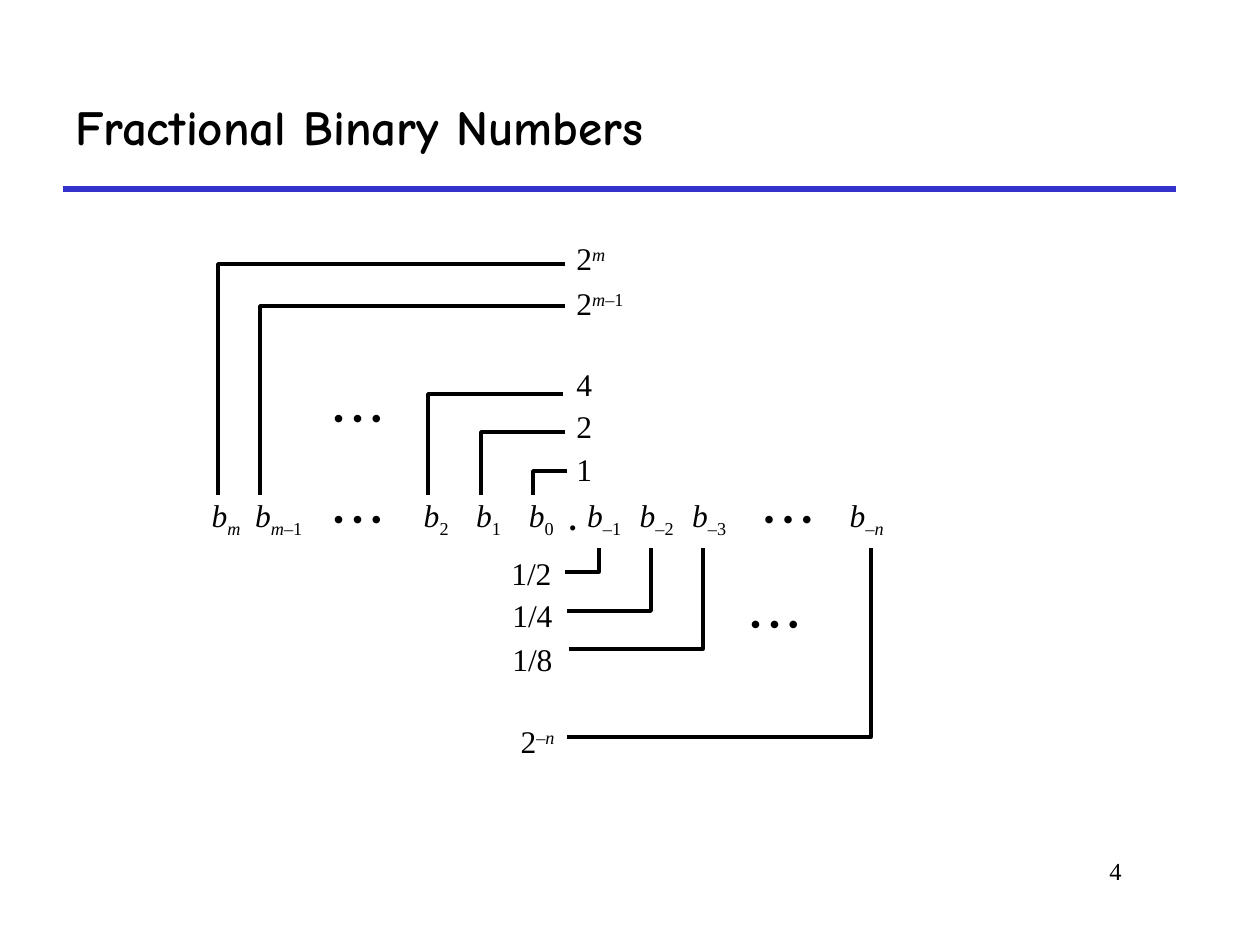
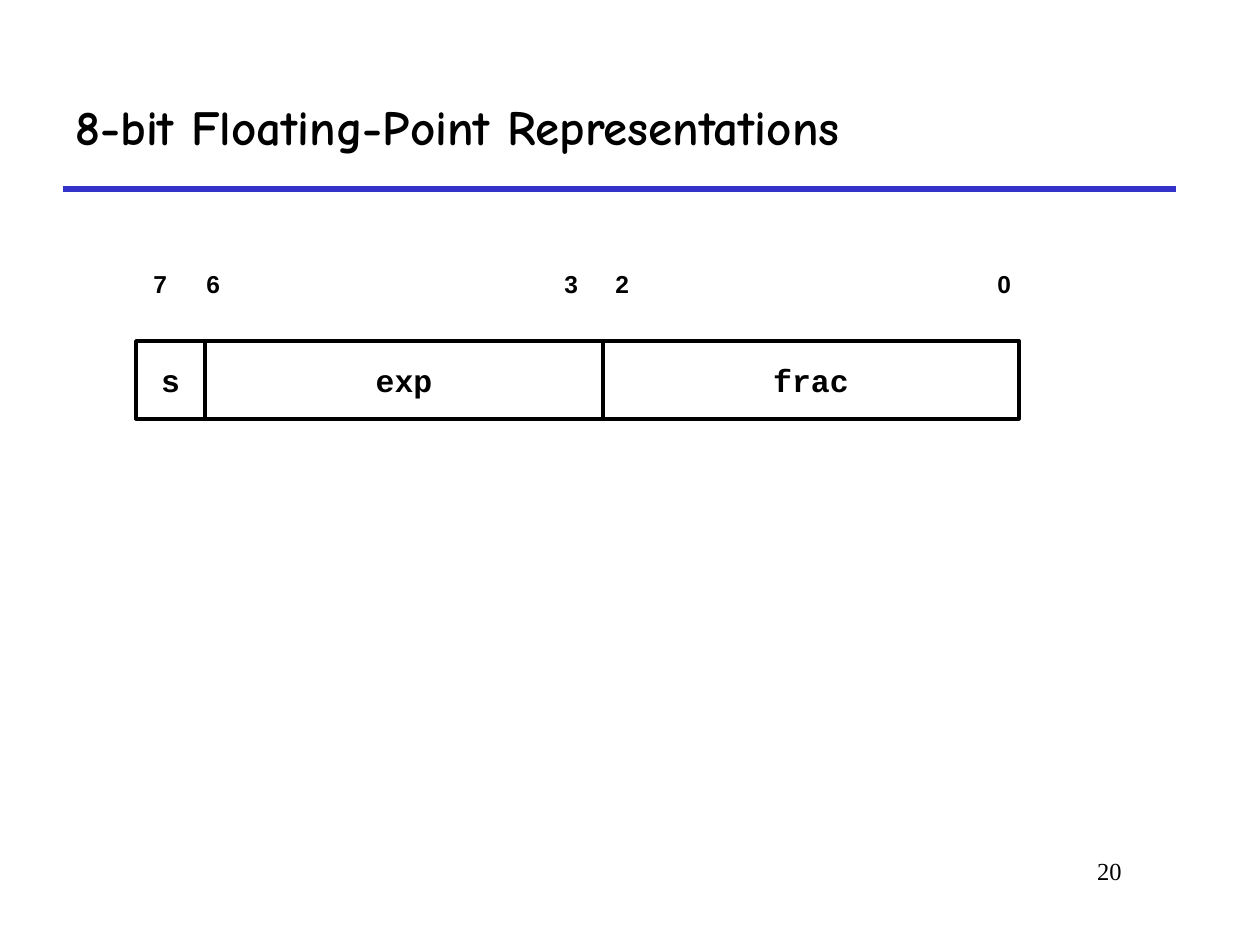
from lxml import etree
from pptx import Presentation
from pptx import util as u
from pptx.dml import color
from pptx.enum import shapes, text
from pptx.oxml import ns

# Shared look
BLACK, WHITE, BLUE = "000000", "FFFFFF", "3333CC"
SERIF, SANS, MONO, HAND = "Times New Roman", "Arial", "Courier New", "Comic Neue"
LEFT, MID, RIGHT = text.PP_ALIGN.LEFT, text.PP_ALIGN.CENTER, text.PP_ALIGN.RIGHT
BASE = {"_": "-25000", "^": "30000"}
DOTS = "• • •"


def px(n):
    """126 px to the inch."""
    return u.Emu(round(n * 914400 / 126))


def rgb(code):
    return color.RGBColor.from_string(code)


def style(item, **values):
    for name, value in values.items():
        setattr(item, name, value)


def ink(line, code, width):
    line.color.rgb = rgb(code)
    line.width = u.Pt(width)


# Text: a string, or runs of (text, marks): i italic, _ subscript, ^ superscript
def write(shape, runs, size=18, face=SERIF, bold=False, align=LEFT,
          anchor=text.MSO_ANCHOR.TOP, wrap=False):
    frame = shape.text_frame
    style(frame, word_wrap=wrap, vertical_anchor=anchor)
    para = frame.paragraphs[0]
    para.alignment = align
    for words, marks in [(runs, "")] if isinstance(runs, str) else runs:
        run = para.add_run()
        run.text = words
        style(run.font, size=u.Pt(size), name=face, bold=bold, italic="i" in marks)
        run.font.color.rgb = rgb(BLACK)
        for mark in BASE.keys() & set(marks):
            run._r.get_or_add_rPr().set("baseline", BASE[mark])


def label(slide, x, y, w, h, runs, **form):
    box = slide.shapes.add_textbox(px(x), px(y), px(w), px(h))
    write(box, runs, **form)


def cell(slide, x, y, w, h, runs, edge=0, turn=0, **form):
    box = slide.shapes.add_shape(shapes.MSO_SHAPE.RECTANGLE, px(x), px(y), px(w), px(h))
    box.shadow.inherit = False
    box.rotation = turn
    box.fill.solid()
    box.fill.fore_color.rgb = rgb(WHITE)
    if edge:
        ink(box.line, BLACK, edge)
    else:
        box.line.fill.background()
    write(box, runs, align=MID, anchor=text.MSO_ANCHOR.MIDDLE, **form)


def elbow(slide, end, x, y, foot):
    """Line from (end, y) along to x, then up or down to foot."""
    path = slide.shapes.build_freeform(px(end), px(y), 1)
    path.add_line_segments([(px(x), px(y)), (px(x), px(foot))], close=False)
    bend = path.convert_to_shape()
    bend.shadow.inherit = False
    bend.fill.background()
    ink(bend.line, BLACK, 2)


def page(deck, title, number):
    slide = deck.slides.add_slide(deck.slide_layouts[6])
    rule = slide.shapes.add_connector(shapes.MSO_CONNECTOR.STRAIGHT,
                                      px(63), px(189), px(1176), px(189))
    ink(rule.line, BLUE, 3)
    etree.SubElement(rule._element.spPr, ns.qn("a:effectLst"))
    label(slide, 955, 850, 179, 63, number, size=14, align=RIGHT, wrap=True)
    label(slide, 63, 63, 1113, 126, title, size=28, face=HAND, bold=True,
          anchor=text.MSO_ANCHOR.MIDDLE, wrap=True)
    return slide


# Slide: digits and their weights
def binary(deck):
    slide = page(deck, "Fractional Binary Numbers", "4")

    # Row of digits, widths in units of half 21 px
    def digit(*sub):
        return 5, [("b", "i"), *sub]

    row = [digit(("m", "i_")), digit(("m", "i_"), ("–1", "_")), (10, DOTS),
           *[digit((n, "_")) for n in "210"], (1, "."),
           *[digit((f"–{n}", "_")) for n in "123"], (10, DOTS),
           digit(("–", "_"), ("n", "i_"))]
    x = 200
    for span, runs in row:
        cell(slide, x, 481, span * 10.5, 74, runs, bold=runs == ".")
        x += span * 10.5

    # Weights above the row
    above = [("1", 42, 444, 567, 533, 471),
             ("2", 42, 401, 565, 481, 432),
             ("4", 42, 359, 563, 428, 394),
             ([("2", ""), ("m", "i^"), ("–1", "^")], 77, 278, 565, 260, 306),
             ([("2", ""), ("m", "i^")], 57, 233, 565, 218, 264)]
    for runs, wide, top, end, x, y in above:
        label(slide, 564, top, wide, 50, runs)
        elbow(slide, end, x, y, 495)
    cell(slide, 305, 380, 105, 74, DOTS)

    # Weights below the row
    below = [("1/2", 66, 498, 548, 565, 599, 572),
             ("1/4", 66, 499, 590, 567, 651, 611),
             ("1/8", 66, 499, 634, 569, 703, 649),
             ([("2", ""), ("–", "^"), ("n", "i^")], 62, 505, 716, 567, 871, 737)]
    for runs, wide, left, top, end, x, y in below:
        label(slide, left, top, wide, 50, runs, align=RIGHT)
        elbow(slide, end, x, y, 548)
    cell(slide, 722, 590, 105, 74, DOTS, turn=180)


# Slide: fields of a float
def floats(deck):
    slide = page(deck, "8-bit Floating-Point Representations", "20")
    x = 136
    for name, wide, face in [("s", 69, SANS), ("exp", 398, MONO), ("frac", 416, MONO)]:
        cell(slide, x, 341, wide, 78, name, edge=2, face=face, bold=True)
        x += wide
    for bit, x in [("7", 141), ("6", 194), ("3", 552), ("2", 603), ("0", 985)]:
        label(slide, x, 263, 39, 42, bit, size=14, face=SANS, bold=True)


def main():
    deck = Presentation()
    style(deck, slide_width=px(1260), slide_height=px(945))
    binary(deck)
    floats(deck)
    deck.save("out.pptx")


if __name__ == "__main__":
    main()
